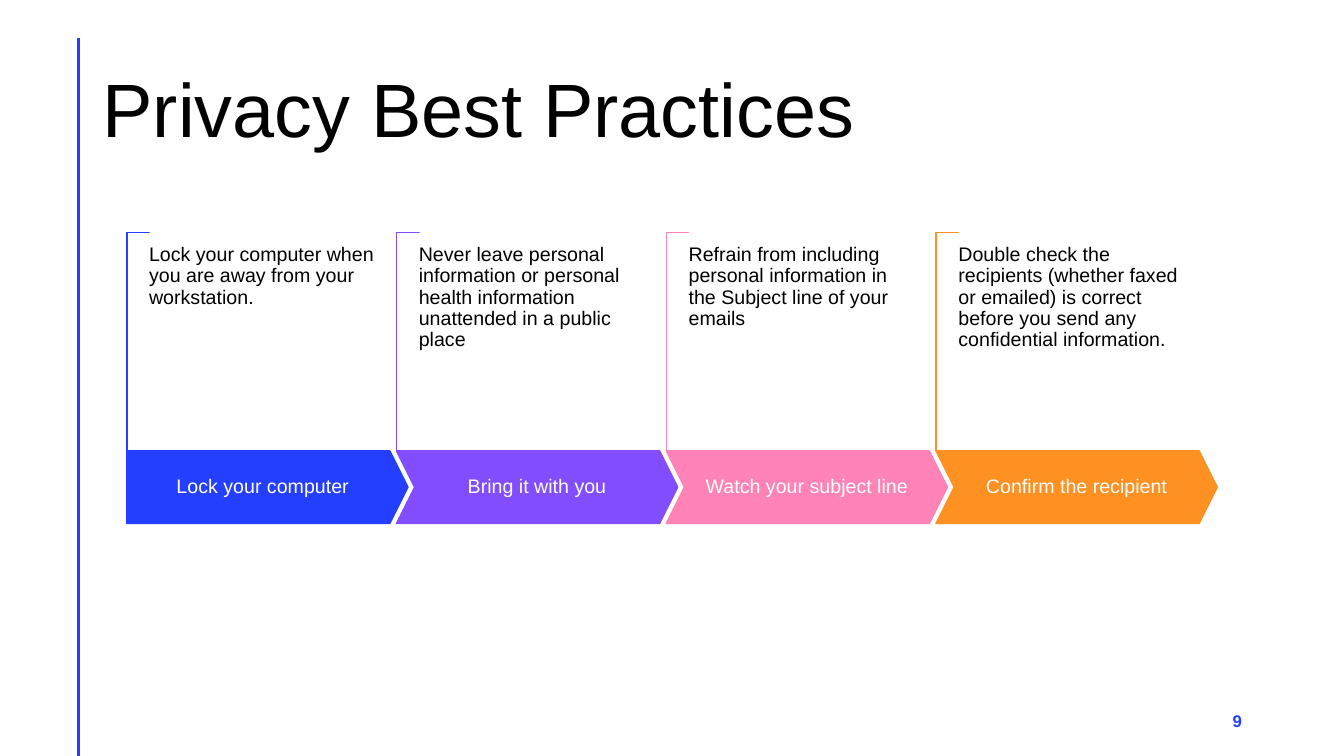
from lxml import etree
from pptx import Presentation
from pptx.dml.color import RGBColor
from pptx.enum.shapes import MSO_CONNECTOR, MSO_SHAPE
from pptx.enum.text import MSO_ANCHOR, PP_ALIGN
from pptx.oxml.ns import qn
from pptx.util import Pt

STRAIGHT = MSO_CONNECTOR.STRAIGHT
PENTAGON, CHEVRON, CORNER = MSO_SHAPE.PENTAGON, MSO_SHAPE.CHEVRON, MSO_SHAPE.CORNER
TOP, MIDDLE = MSO_ANCHOR.TOP, MSO_ANCHOR.MIDDLE
LEFT, CENTER, RIGHT = PP_ALIGN.LEFT, PP_ALIGN.CENTER, PP_ALIGN.RIGHT

COLORS = {
    "blue": "243FFF",
    "purple": "814DFF",
    "pink": "FF83B6",
    "orange": "FF9022",
    "black": "000000",
    "white": "FFFFFF",
}

PRACTICES = [
    ("blue", "Lock your computer",
     "Lock your computer when you are away from your workstation."),
    ("purple", "Bring it with you",
     "Never leave personal information or personal health information "
     "unattended in a public place"),
    ("pink", "Watch your subject line",
     "Refrain from including personal information in the Subject line of your emails"),
    ("orange", "Confirm the recipient",
     "Double check the recipients (whether faxed or emailed) is correct "
     "before you send any confidential information."),
]


def color(name):
    return RGBColor.from_string(COLORS[name])


def write(shape, text, size, ink, align=LEFT, anchor=TOP, margins=(7.2, 3.6),
          line_spacing=0.9, bold=False):
    frame = shape.text_frame
    frame.word_wrap = True
    frame.vertical_anchor = anchor
    frame.margin_left = frame.margin_right = Pt(margins[0])
    frame.margin_top = frame.margin_bottom = Pt(margins[1])
    paragraph = frame.paragraphs[0]
    paragraph.text = text
    paragraph.alignment = align
    paragraph.line_spacing = line_spacing
    paragraph.font.name = "Arial"
    paragraph.font.size = Pt(size)
    paragraph.font.bold = bold
    paragraph.font.color.rgb = color(ink)


def add_text(slide, box, text, size, ink, **style):
    write(slide.shapes.add_textbox(*map(Pt, box)), text, size, ink, **style)


def add_block(slide, kind, box, fill, line, adjustments):
    shape = slide.shapes.add_shape(kind, *map(Pt, box))
    shape.shadow.inherit = False
    shape.fill.solid()
    shape.fill.fore_color.rgb = color(fill)
    shape.line.color.rgb = color(line)
    shape.line.width = Pt(1)
    for index, value in enumerate(adjustments):
        shape.adjustments[index] = value
    return shape


def add_side_rule(slide, x, top, bottom):
    rule = slide.shapes.add_connector(STRAIGHT, Pt(x), Pt(top), Pt(x), Pt(bottom))
    rule.line.color.rgb = color("blue")
    rule.line.width = Pt(2)
    etree.SubElement(rule._element.spPr, qn("a:effectLst"))


def add_practice(slide, box, kind, practice):
    left, top, width, height = box
    accent, label, advice = practice
    arrow_height, bracket_width = 51.8, 16
    bracket_height = height - arrow_height
    arrow_top = top + bracket_height

    bracket_box = (left + (bracket_width - bracket_height) / 2,
                   top + (bracket_height - bracket_width) / 2,
                   bracket_height, bracket_width)
    bracket = add_block(slide, CORNER, bracket_box, "white", accent, (0.01, 0.01))
    bracket.rotation = 90

    arrow = add_block(slide, kind, (left, arrow_top, width, arrow_height),
                      accent, accent, (0.25,))
    write(arrow, label, 14, "white", align=CENTER, anchor=MIDDLE, margins=(7.2, 13.7))

    add_text(slide, (left + bracket_width, top + 9, 162.7, 137.5),
             advice, 14, "black", margins=(0, 0))


def add_process(slide, box):
    left, top, width, height = box
    arrow_width = 200.9
    pitch = (width - arrow_width) / (len(PRACTICES) - 1)
    for index, practice in enumerate(PRACTICES):
        kind = CHEVRON if index else PENTAGON
        add_practice(slide, (left + index * pitch, top, arrow_width, height), kind, practice)


def main():
    presentation = Presentation()
    presentation.slide_width = Pt(960)
    presentation.slide_height = Pt(540)
    slide = presentation.slides.add_slide(presentation.slide_layouts[6])
    add_side_rule(slide, 56.2, 27.5, 540)
    add_text(slide, (66.2, 28.8, 828, 104.4), "Privacy Best Practices", 54, "black",
             anchor=MIDDLE)
    add_process(slide, (90.5, 165.9, 779, 208))
    add_text(slide, (678.2, 500.4, 216, 28.8), "9", 12, "blue", align=RIGHT,
             anchor=MIDDLE, line_spacing=1.0, bold=True)
    presentation.save("out.pptx")


if __name__ == "__main__":
    main()
